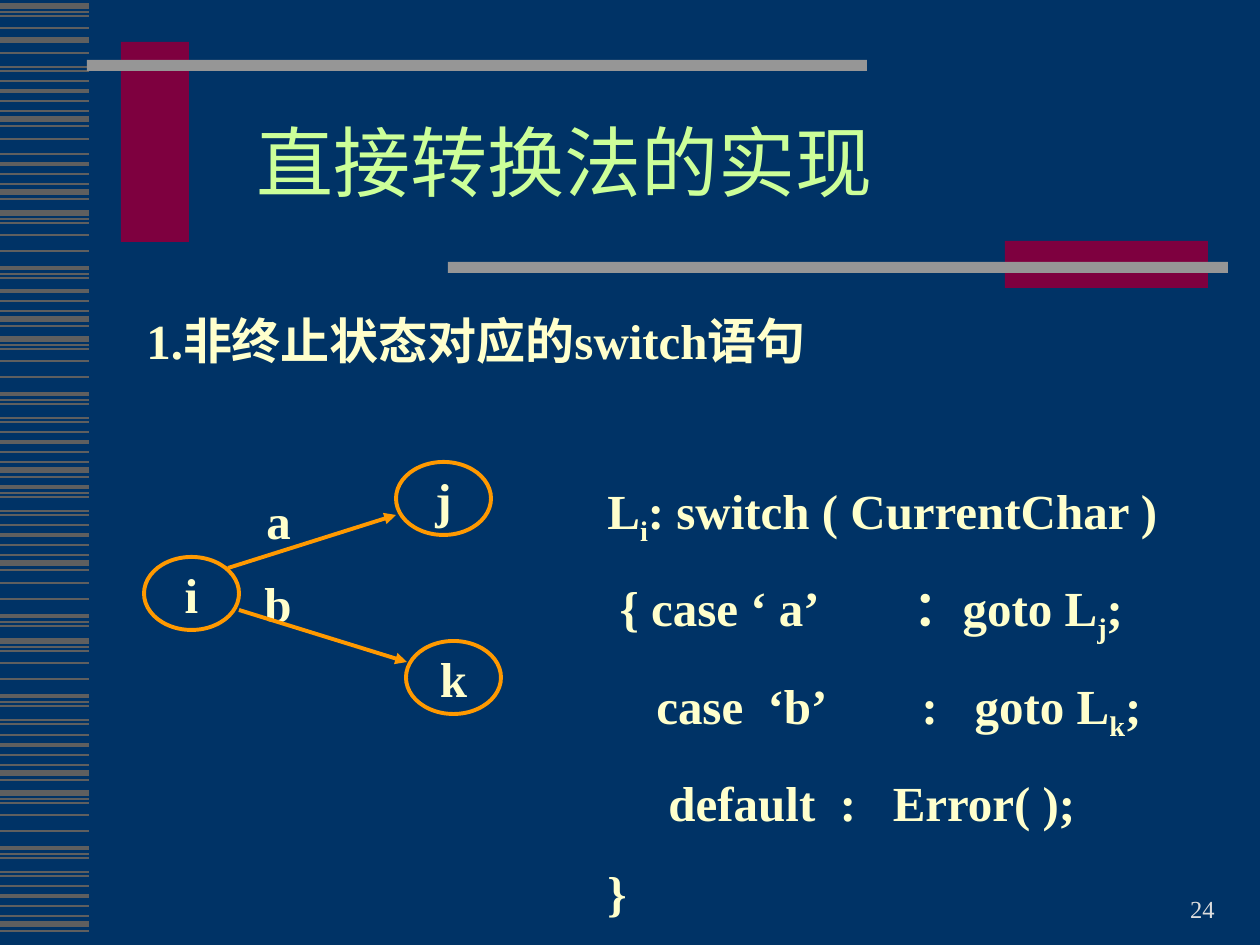
import lxml.etree
import pptx
import pptx.dml.color
import pptx.enum.shapes
import pptx.enum.text
import pptx.oxml.ns
import pptx.util

RGBColor = pptx.dml.color.RGBColor
NAVY = RGBColor(0x00, 0x33, 0x66)
STRIPE = RGBColor(0x5F, 0x5F, 0x5F)
MAROON = RGBColor(0x7E, 0x00, 0x3F)
GREY = RGBColor(0x96, 0x96, 0x96)
ORANGE = RGBColor(0xFF, 0x99, 0x00)
CREAM = RGBColor(0xFF, 0xFF, 0xCC)
LIME = RGBColor(0xCC, 0xFF, 0x99)
SILVER = RGBColor(0xDD, 0xDD, 0xDD)
FONT = "Times New Roman"

ALIGN = pptx.enum.text.PP_ALIGN
ANCHOR = pptx.enum.text.MSO_ANCHOR
SHAPE = pptx.enum.shapes.MSO_SHAPE

SHORT_BAND = [(0, 1), (10, 2.25), (20, 1.5), (30, 0.75), (38, 3), (45, 1.5)]
LONG_BAND = [(0, 3), (6, 0.75), (10, 1), (22, 1), (38, 1), (55, 2.25),
             (61, 0.75), (65, 1.5), (79, 0.75), (83, 1.5)]
BANDS = [
    (6, LONG_BAND[:4]), (40, LONG_BAND[:1]), (-12, LONG_BAND[7:]),
    (81, SHORT_BAND), (101, LONG_BAND[4:5]), (154, SHORT_BAND),
    (213, LONG_BAND[:8]), (281, SHORT_BAND[1:]), (339, LONG_BAND),
    (432, SHORT_BAND), (432, LONG_BAND[5:]), (525, SHORT_BAND),
    (561, LONG_BAND[3:8]), (641, LONG_BAND), (735, SHORT_BAND),
    (793, LONG_BAND), (886, SHORT_BAND),
]
CODE = [
    ("L", "i", ": switch ( CurrentChar )"),
    (" { case ‘ a’        ：goto L", "j", ";"),
    ("    case  ‘b’        :   goto L", "k", ";"),
    ("     default  :   Error( );",),
    ("}",),
]


def px(count):
    """Turn whole px into EMU."""
    return pptx.util.Emu(round(count * 914400 / 126))


def add_line(page, start, end, color, weight, arrow=False):
    """Draw a straight line, with an optional arrowhead at its end."""
    line = page.shapes.add_connector(
        pptx.enum.shapes.MSO_CONNECTOR.STRAIGHT, *map(px, start + end))
    line.line.color.rgb = color
    line.line.width = pptx.util.Pt(weight)
    if arrow:
        head = lxml.etree.SubElement(line.line._get_or_add_ln(), pptx.oxml.ns.qn("a:tailEnd"))
        head.set("type", "triangle")
    lxml.etree.SubElement(line._element.spPr, pptx.oxml.ns.qn("a:effectLst"))


def add_block(page, box, color):
    """Draw a plain filled rectangle."""
    block = page.shapes.add_shape(SHAPE.RECTANGLE, *map(px, box))
    block.shadow.inherit = False
    block.fill.solid()
    block.fill.fore_color.rgb = color
    block.line.fill.background()


def style(para, size, color, bold, align):
    """Set the font and alignment of a paragraph."""
    para.alignment = align
    para.font.name = FONT
    para.font.size = pptx.util.Pt(size)
    para.font.color.rgb = color
    para.font.bold = bold


def add_text(page, box, lines, size=28, color=CREAM, bold=True,
             align=ALIGN.LEFT, anchor=ANCHOR.TOP, gap=0, spacing=1.0):
    """Write lines whose every second span is a subscript."""
    frame = page.shapes.add_textbox(*map(px, box)).text_frame
    frame.word_wrap = True
    frame.vertical_anchor = anchor
    for number, spans in enumerate(lines):
        para = frame.add_paragraph() if number else frame.paragraphs[0]
        if number:
            para.space_before = pptx.util.Pt(gap)
        para.line_spacing = spacing
        style(para, size, color, bold, align)
        for index, text in enumerate(spans):
            span = para.add_run()
            span.text = text
            if index % 2:
                span._r.get_or_add_rPr().set("baseline", "-25000")


def add_stripes(page, box):
    """Fill the side strip with bands of thin lines."""
    left, top, width, _ = box
    for start, band in BANDS:
        for offset, weight in band:
            y = top + start + offset
            add_line(page, (left, y), (left + width, y), STRIPE, weight)


def add_header(page, box):
    """Place the bars, the blocks and the title."""
    left, top, _, _ = box
    add_block(page, (left + 34, top, 68, 200), MAROON)
    add_block(page, (left, top + 18, 780, 11), GREY)
    add_block(page, (left + 918, top + 199, 203, 47), MAROON)
    add_block(page, (left + 361, top + 220, 780, 11), GREY)
    add_text(page, (left + 46, top + 73, 863, 106), [("直接转换法的实现",)], size=44,
             color=LIME, bold=False, align=ALIGN.CENTER, anchor=ANCHOR.MIDDLE, spacing=0.85)


def add_state(page, box, name):
    """Draw one state of the automaton."""
    state = page.shapes.add_shape(SHAPE.OVAL, *map(px, box))
    state.shadow.inherit = False
    state.fill.background()
    state.line.color.rgb = ORANGE
    state.line.width = pptx.util.Pt(2.25)
    frame = state.text_frame
    frame.word_wrap = False
    frame.vertical_anchor = ANCHOR.MIDDLE
    frame.paragraphs[0].text = name
    style(frame.paragraphs[0], 28, CREAM, True, ALIGN.CENTER)


def add_automaton(page, box):
    """Draw the three states and the two labelled moves."""
    left, top, _, _ = box
    add_text(page, (left + 108, top + 105, 84, 72), [("b",)])
    for name, x, y in [("i", 0, 95), ("j", 252, 0), ("k", 262, 179)]:
        add_state(page, (left + x, top + y, 95, 73), name)
    for x, y, end_y in [(84, 106, 53), (95, 148, 200)]:
        add_line(page, (left + x, top + y), (left + x + 168, top + end_y), ORANGE, 2.25, True)
    add_text(page, (left + 110, top + 22, 84, 72), [("a",)])


def build():
    """Build the slide and save the deck."""
    deck = pptx.Presentation()
    deck.slide_width, deck.slide_height = px(1260), px(945)
    page = deck.slides.add_slide(deck.slide_layouts[6])
    page.background.fill.solid()
    page.background.fill.fore_color.rgb = NAVY
    add_stripes(page, (0, 0, 89, 945))
    add_header(page, (87, 42, 1141, 246))
    add_text(page, (925, 867, 302, 63), [("24",)], size=14, color=SILVER,
             bold=False, align=ALIGN.RIGHT, anchor=ANCHOR.BOTTOM)
    add_automaton(page, (144, 462, 357, 252))
    add_text(page, (595, 474, 650, 453), CODE, align=ALIGN.JUSTIFY, gap=17.5)
    add_text(page, (134, 304, 745, 72), [("1.非终止状态对应的switch语句",)])
    deck.save("out.pptx")


if __name__ == "__main__":
    build()
